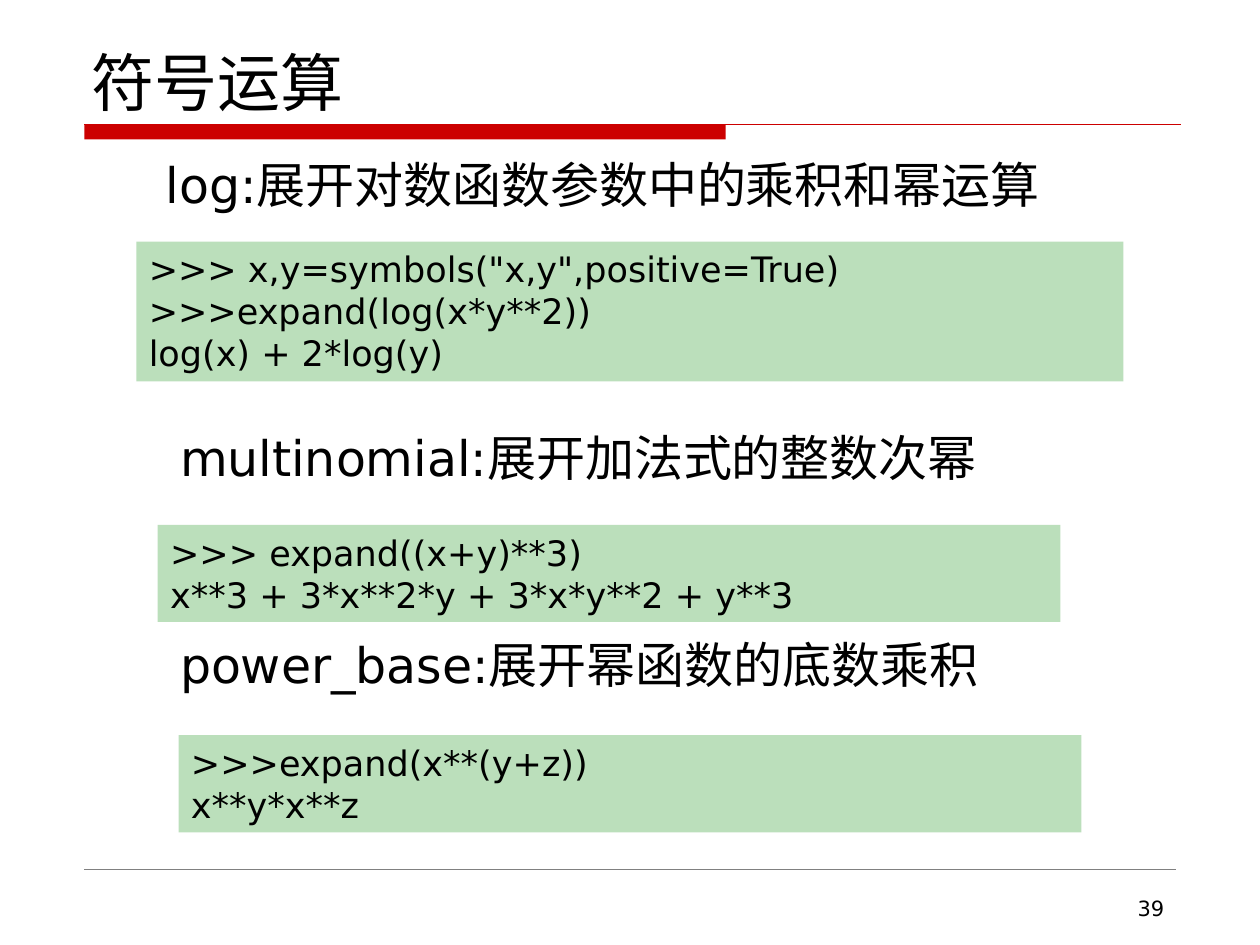
from dataclasses import dataclass

import pptx
import pptx.dml.color
import pptx.enum.shapes
import pptx.enum.text
import pptx.oxml
import pptx.oxml.ns
import pptx.util

Cm = pptx.util.Cm
Anchor = pptx.enum.text.MSO_ANCHOR
Align = pptx.enum.text.PP_ALIGN
FONT = "DejaVu Sans"
RED, GREY, GREEN, BLACK = "CC0000", "808080", "BBDFBB", "000000"
HEADING_HEIGHT = 1.2


@dataclass
class Box:
    left: float
    top: float
    width: float
    height: float


@dataclass
class Section:
    heading: str
    heading_left: float
    heading_middle: float
    code: list[str]
    code_box: Box


SECTIONS = [
    Section("log:展开对数函数参数中的乘积和幂运算", 3.34, 3.71,
            ['>>> x,y=symbols("x,y",positive=True)',
             ">>>expand(log(x*y**2))",
             "log(x) + 2*log(y)"],
            Box(2.75, 4.87, 19.9, 2.82)),
    Section("multinomial:展开加法式的整数次幂", 3.63, 9.22,
            [">>> expand((x+y)**3)",
             "x**3 + 3*x**2*y + 3*x*y**2 + y**3"],
            Box(3.18, 10.58, 18.2, 1.96)),
    Section("power_base:展开幂函数的底数乘积", 3.63, 13.38,
            [">>>expand(x**(y+z))", "x**y*x**z"],
            Box(3.6, 14.82, 18.2, 1.96)),
]


def rgb(value: str) -> pptx.dml.color.RGBColor:
    return pptx.dml.color.RGBColor.from_string(value)


def write(sp, lines: list[str], size: float, anchor=Anchor.TOP,
          align=Align.LEFT) -> None:
    tf = sp.text_frame
    tf.word_wrap = True
    tf.vertical_anchor = anchor
    for i, line in enumerate(lines):
        p = tf.add_paragraph() if i else tf.paragraphs[0]
        p.alignment = align
        r = p.add_run()
        r.text = line
        r.font.name = FONT
        r.font.size = pptx.util.Pt(size)
        r.font.color.rgb = rgb(BLACK)


def add_text(s, box: Box, line: str, size: float, anchor=Anchor.TOP,
             align=Align.LEFT):
    sp = s.shapes.add_textbox(Cm(box.left), Cm(box.top), Cm(box.width), Cm(box.height))
    write(sp, [line], size, anchor, align)
    return sp


def add_rect(s, box: Box, color: str):
    sp = s.shapes.add_shape(pptx.enum.shapes.MSO_SHAPE.RECTANGLE, Cm(box.left),
                            Cm(box.top), Cm(box.width), Cm(box.height))
    sp.shadow.inherit = False
    sp.fill.solid()
    sp.fill.fore_color.rgb = rgb(color)
    sp.line.fill.background()
    return sp


def add_rule(s, left: float, right: float, y: float, color: str, width: float) -> None:
    sp = s.shapes.add_connector(pptx.enum.shapes.MSO_CONNECTOR.STRAIGHT,
                                Cm(left), Cm(y), Cm(right), Cm(y))
    sp.line.color.rgb = rgb(color)
    sp.line.width = pptx.util.Pt(width)
    effects = pptx.oxml.parse_xml(f'<a:effectLst {pptx.oxml.ns.nsdecls("a")}/>')
    sp._element.spPr.append(effects)


def add_section(s, section: Section) -> None:
    top = section.heading_middle - HEADING_HEIGHT / 2
    sp = add_text(s, Box(section.heading_left, top, 20, HEADING_HEIGHT),
                  section.heading, 28, Anchor.MIDDLE)
    tf = sp.text_frame
    tf.margin_left = tf.margin_right = tf.margin_top = tf.margin_bottom = 0
    write(add_rect(s, section.code_box, GREEN), section.code, 20)


def main() -> None:
    prs = pptx.Presentation()
    prs.slide_width, prs.slide_height = Cm(25.4), Cm(19.05)
    s = prs.slides.add_slide(prs.slide_layouts[6])
    add_rect(s, Box(1.7, 2.51, 12.93, 0.3), RED)
    add_rule(s, 1.7, 23.8, 2.51, RED, 0.75)
    add_rule(s, 1.7, 23.7, 17.53, GREY, 0.25)
    add_text(s, Box(1.6, 0.84, 22.22, 1.68), "符号运算", 36, Anchor.BOTTOM)
    for section in SECTIONS:
        add_section(s, section)
    add_text(s, Box(18.21, 17.93, 5.51, 0.74), "39", 12, align=Align.RIGHT)
    prs.save("out.pptx")


if __name__ == "__main__":
    main()
